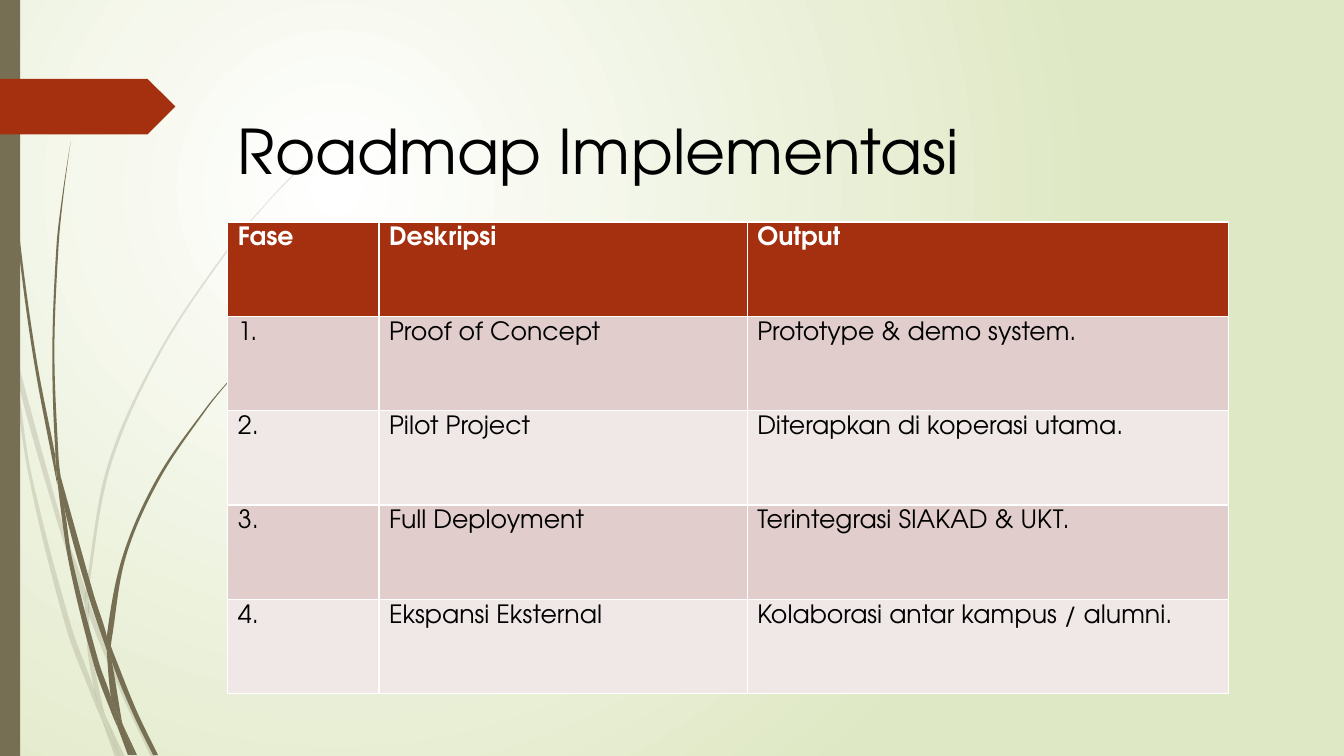
import math

from lxml import etree
from pptx import Presentation
from pptx.dml.color import RGBColor
from pptx.enum import text as txt
from pptx.enum import shapes as kinds
from pptx.oxml import ns, parse_xml
from pptx.util import Pt

FONT = "TeX Gyre Adventor"
WHITE = RGBColor(0xFF, 0xFF, 0xFF)
BLACK = RGBColor(0x00, 0x00, 0x00)
PALE_GREEN = RGBColor(0xDF, 0xE8, 0xC4)
OLIVE = RGBColor(0x76, 0x6F, 0x54)
RUST = RGBColor(0xA5, 0x30, 0x10)
BANDS = (RGBColor(0xE1, 0xCD, 0xCC), RGBColor(0xF0, 0xE8, 0xE7))

SLIDE_BOX = (0, 0, 960, 540)
TAG_BOX = (0, 56.3, 125.3, 39.8)
TITLE_BOX = (162.7, 77.4, 535, 60.5)
TABLE_BOX = (162.7, 158.6, 714.6, 337)
COLUMN_WIDTHS = (108, 263, 343.6)
ROADMAP = (
    ("Fase", "Deskripsi", "Output"),
    ("1.", "Proof of Concept", "Prototype & demo system."),
    ("2.", "Pilot Project", "Diterapkan di koperasi utama."),
    ("3.", "Full Deployment", "Terintegrasi SIAKAD & UKT."),
    ("4.", "Ekspansi Eksternal", "Kolaborasi antar kampus / alumni."),
)

# Outlines of the blades of grass: points that a smooth curve passes through.
FAINT_BLADES = (
    ((7.9, 252), (6.5, 231.8), (0, 203), (0, 215.3), (7.2, 247.7)),
    ((41.8, 375.8), (60.5, 431.3), (61.2, 421.9), (44.6, 374.4), (10.1, 248.4),
     (12.2, 270.7)),
    ((66.2, 437), (63.4, 429.1), (63.4, 439.2), (88.6, 499.7), (108, 540.7),
     (111.6, 540.7), (91.4, 498.2)),
    ((85.7, 540.7), (89.3, 540.7), (75.6, 511.9)),
    ((67, 491.8), (50.4, 445.7), (22.3, 337.7), (12.2, 270.7), (7.9, 252),
     (20.2, 338.4), (46.8, 447.1), (66.2, 499), (72.7, 514.1), (71.3, 509)),
    ((60.5, 431.3), (62.6, 465.1), (67, 491.8), (69.1, 498.2), (75.6, 511.9),
     (74.2, 508.3), (65.5, 465.1), (63.4, 439.2), (63.4, 437.8)),
    ((63.4, 420.5), (79.2, 332.6), (115.2, 251.3), (164.9, 176.4), (193, 142.6),
     (208.8, 126.3), (224.6, 110.9), (224.6, 110.2), (208.1, 126), (193, 141.8),
     (164.2, 175.7), (113.8, 250.6), (77, 331.9), (61.2, 420.5), (61.2, 421.9),
     (63.4, 429.1)),
    ((72.7, 514.1), (82.1, 540.7), (85.7, 540.7)),
    ((63.4, 437.8), (63.4, 439.2), (63.4, 429.1), (61.2, 421.9), (60.5, 431.3)),
    ((69.1, 498.2), (67, 491.8), (71.3, 509), (72.7, 514.1), (85.7, 540.7),
     (75.6, 511.9)),
)
SOLID_BLADES = (
    ((5, 79.2), (12.2, 167.8), (23.8, 255.6), (40.3, 343.4), (41, 346.3),
     (39.6, 329), (39.6, 326.2), (25.9, 255.6), (13.7, 167), (5.8, 78.5),
     (3.6, 34.6), (2.9, 0), (2.2, 0), (2.9, 34.6)),
    ((63.4, 426.2), (76.3, 464.4), (76.3, 454.3), (67, 424.8), (43.2, 339.8),
     (46.1, 363.6)),
    ((81.4, 467.3), (79.2, 461.5), (79.9, 472.3), (95, 509.8), (109.4, 539.3),
     (113, 539.3), (97.9, 508.3)),
    ((79.2, 497.5), (70.6, 473), (51.8, 400.3), (46.1, 363.6), (41, 343.4),
     (49, 401), (67, 474.5), (79.9, 509.8), (84.2, 519.8), (83.5, 516.2)),
    ((43.2, 339.8), (41.8, 326.2), (38.9, 251.3), (41.8, 176.4), (45.4, 139),
     (50.4, 101.5), (44.6, 139), (40.3, 176.4), (37.4, 251.3), (39.6, 323.3)),
    ((95.8, 539.3), (97.9, 539.3), (87.8, 517.7)),
    ((41, 343.4), (46.1, 363.6), (43.2, 339.8), (39.6, 323.3), (39.6, 326.2)),
    ((79.9, 455.8), (90, 397.4), (113.8, 342.7), (147.6, 292.3), (166.3, 269.3),
     (176.4, 258.5), (187.9, 247.7), (187.2, 247.7), (176.4, 257.8),
     (166.3, 268.6), (146.9, 291.6), (112.3, 341.3), (87.8, 396.7),
     (76.3, 454.3), (79.2, 461.5)),
    ((84.2, 519.8), (91.4, 539.3), (94.3, 539.3)),
    ((76.3, 464.4), (79.2, 497.5), (83.5, 508.3), (87.8, 517.7), (87.1, 515.5),
     (79.9, 472.3), (78.5, 468.7)),
    ((76.3, 464.4), (78.5, 468.7), (79.9, 472.3), (79.2, 461.5), (76.3, 454.3)),
    ((83.5, 508.3), (79.2, 497.5), (83.5, 516.2), (84.2, 519.8), (93.6, 539.3),
     (95.8, 539.3), (87.8, 517.7)),
)


def paint(shape, colour, opacity=100):
    shape.shadow.inherit = False
    shape.fill.solid()
    shape.fill.fore_color.rgb = colour
    shape.line.fill.background()
    if opacity < 100:
        tint = shape.element.spPr.find(".//" + ns.qn("a:srgbClr"))
        etree.SubElement(tint, ns.qn("a:alpha"), val=str(opacity * 1000))


def write(frame, words, size, colour, bold=False):
    paragraph = frame.paragraphs[0]
    paragraph.text = words
    font = paragraph.runs[0].font
    font.color.rgb = colour
    for key, value in {"name": FONT, "size": Pt(size), "bold": bold}.items():
        setattr(font, key, value)


def add_background(slide):
    """Spread white from the upper left into pale green."""
    fill = slide.background.fill
    fill.gradient()
    for stop, colour, position in zip(fill.gradient_stops, (WHITE, PALE_GREEN), (0, 1)):
        stop.color.rgb = colour
        stop.position = position
    gradient = slide.element.find(".//" + ns.qn("a:gradFill"))
    radial = parse_xml(
        f'<a:path {ns.nsdecls("a")} path="circle">'
        '<a:fillToRect l="50000" t="50000" r="100000" b="100000"/></a:path>')
    gradient.replace(gradient.find(ns.qn("a:lin")), radial)


def add_outline(slide, box, points):
    corners = [(Pt(box[0] + x), Pt(box[1] + y)) for x, y in points]
    builder = slide.shapes.build_freeform(*corners[0])
    builder.add_line_segments(corners[1:] + corners[:1], close=True)
    return builder.convert_to_shape()


def heading_at(before, here, after):
    """Return the unit direction of the curve, or none at a sharp tip."""
    arriving, leaving = math.dist(before, here), math.dist(here, after)
    dot = sum((h - b) * (a - h) for b, h, a in zip(before, here, after))
    if dot < 0.7 * arriving * leaving:
        return 0, 0
    return tuple((a - b) / math.dist(before, after) for b, a in zip(before, after))


def round_outline(shape):
    """Turn the straight sides of a closed outline into Bezier curves."""
    sides = list(shape.element.iter(ns.qn("a:lnTo")))
    ends = [(int(side[0].get("x")), int(side[0].get("y"))) for side in sides]
    headings = [heading_at(ends[i - 1], end, ends[(i + 1) % len(ends)])
                for i, end in enumerate(ends)]
    for i, side in enumerate(sides):
        start, end = ends[i - 1], ends[i]
        reach = math.dist(start, end) / 3
        controls = ([s + reach * h for s, h in zip(start, headings[i - 1])],
                    [e - reach * h for e, h in zip(end, headings[i])])
        side.tag = ns.qn("a:cubicBezTo")
        for order, (x, y) in enumerate(controls):
            side.insert(order, parse_xml(
                f'<a:pt {ns.nsdecls("a")} x="{round(x)}" y="{round(y)}"/>'))


def add_grass(slide, box):
    for blades, opacity in ((FAINT_BLADES, 20), (SOLID_BLADES, 100)):
        for points in blades:
            blade = add_outline(slide, box, points)
            round_outline(blade)
            paint(blade, OLIVE, opacity)
    left, top, _, height = box
    edge_bar = slide.shapes.add_shape(
        kinds.MSO_SHAPE.RECTANGLE, Pt(left), Pt(top), Pt(14.4), Pt(height))
    paint(edge_bar, OLIVE)


def add_tag(slide, box):
    width, height = box[2:]
    shoulder = width - height / 2
    paint(add_outline(slide, box, (
        (0, 0), (shoulder, 0), (width, height / 2), (shoulder, height), (0, height))), RUST)


def add_title(slide, box):
    frame = slide.shapes.add_textbox(*map(Pt, box)).text_frame
    frame.word_wrap = False
    frame.auto_size = txt.MSO_AUTO_SIZE.SHAPE_TO_FIT_TEXT
    write(frame, "Roadmap Implementasi", 44, BLACK)


def add_roadmap(slide, box):
    table = slide.shapes.add_table(
        len(ROADMAP), len(COLUMN_WIDTHS), *map(Pt, box)).table
    for column, width in zip(table.columns, COLUMN_WIDTHS):
        column.width = Pt(width)
    for index, phase in enumerate(ROADMAP):
        heading = index == 0
        table.rows[index].height = Pt(box[3] / len(ROADMAP))
        for cell, words in zip(table.rows[index].cells, phase):
            cell.fill.solid()
            cell.fill.fore_color.rgb = RUST if heading else BANDS[(index - 1) % 2]
            write(cell.text_frame, words, 18, WHITE if heading else BLACK, heading)


deck = Presentation()
deck.slide_width, deck.slide_height = map(Pt, SLIDE_BOX[2:])
roadmap_slide = deck.slides.add_slide(deck.slide_layouts[6])
add_background(roadmap_slide)
add_grass(roadmap_slide, SLIDE_BOX)
add_tag(roadmap_slide, TAG_BOX)
add_roadmap(roadmap_slide, TABLE_BOX)
add_title(roadmap_slide, TITLE_BOX)
deck.save("out.pptx")
